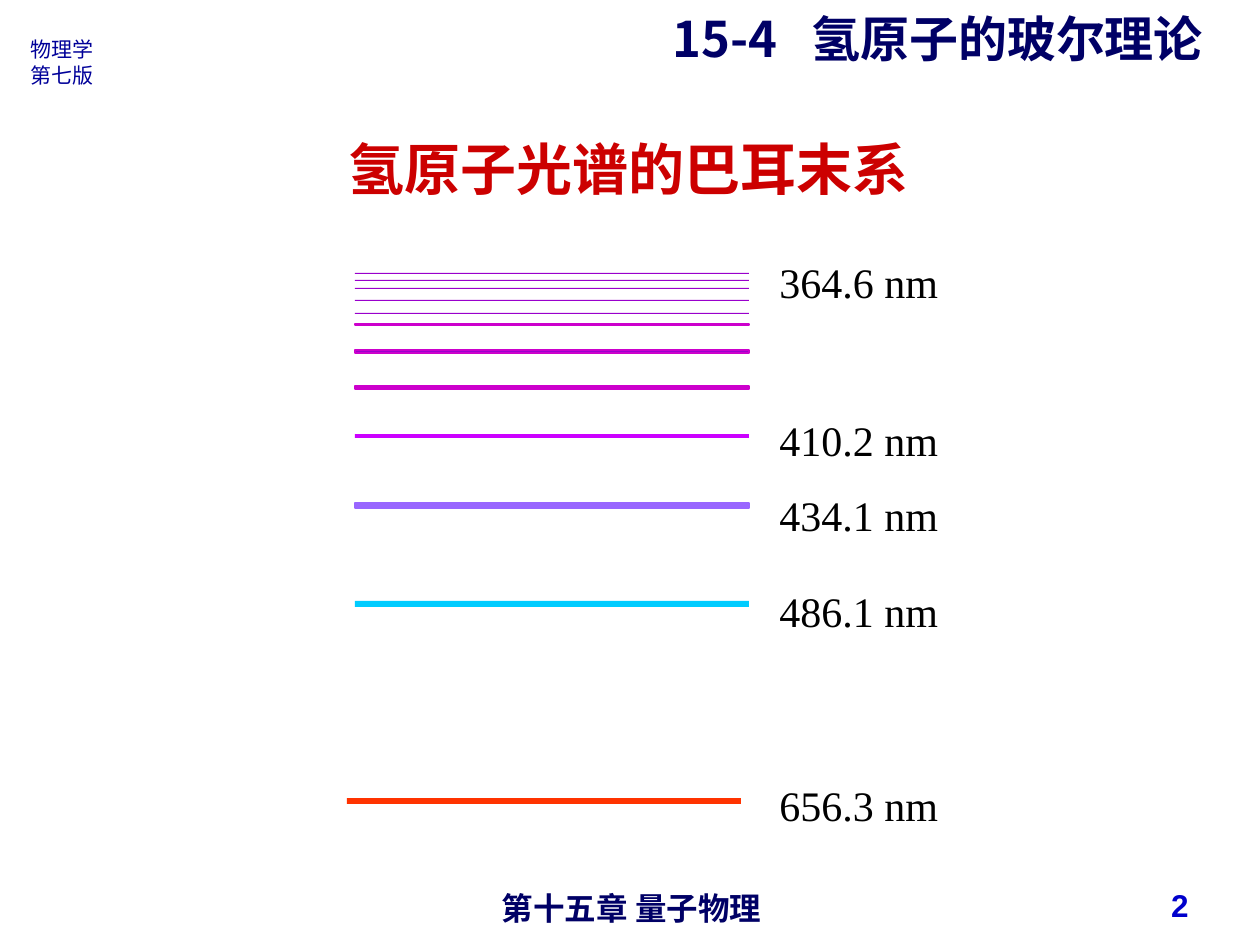
from pptx import Presentation
from pptx import util as u
from pptx.dml.color import RGBColor
from pptx.enum import shapes, text
from pptx.oxml.ns import qn
from lxml import etree

PX = 914400 / 126
HUES = {
    "navy": "000066", "blue": "000099", "page": "0000CC", "title": "CC0000",
    "ink": "000000", "red": "FF3300", "cyan": "00CCFF", "violet": "9966FF",
    "pink": "CC00FF", "plum": "CC00CC", "purple": "9900CC",
}
SANS, SERIF, CJK = "Arial", "Times New Roman", "Noto Sans CJK SC"
ALIGN, ANCHOR = text.PP_ALIGN, text.MSO_ANCHOR

# Spectral lines: top, height, fill, outline
LINES = [
    (273, 1, "purple", None), (280, 1, "purple", None),
    (288, 1, "purple", None), (300, 1, "purple", None),
    (313, 1, "purple", None), (324, 1, "plum", "plum"),
    (350, 3, "purple", "plum"), (386, 3, "plum", "plum"),
    (434, 4, "pink", None), (503, 5, "violet", "violet"),
    (601, 6, "cyan", None), (798, 6, "red", None),
]
# Wavelength labels: top, wording
LABELS = [
    (248, "364.6 nm"), (406, "410.2 nm"), (481, "434.1 nm"),
    (577, "486.1 nm"), (771, "656.3 nm"),
]


def px(n):
    return u.Emu(round(n * PX))


def rgb(name):
    return RGBColor.from_string(HUES[name])


def write(slide, box, words, size, hue, font=CJK, bold=False,
          align=ALIGN.LEFT, anchor=ANCHOR.TOP, tab=None):
    """Add a text box with one paragraph for each line of words."""
    frame = slide.shapes.add_textbox(*map(px, box)).text_frame
    frame.word_wrap = True
    frame.vertical_anchor = anchor
    for i, line in enumerate(words.split("\n")):
        para = frame.paragraphs[0] if i == 0 else frame.add_paragraph()
        para.alignment = align
        para.line_spacing = u.Pt(round(size * 1.25))
        if tab:
            stops = etree.SubElement(para._p.get_or_add_pPr(), qn("a:tabLst"))
            etree.SubElement(stops, qn("a:tab"), pos=str(px(tab)), algn="l")
        run = para.add_run()
        run.text = line
        run.font.size = u.Pt(size)
        run.font.bold = bold
        run.font.name = font
        run.font.color.rgb = rgb(hue)
        east = etree.SubElement(run.font._element, qn("a:ea"))
        east.set("typeface", CJK)


def bar(slide, box, fill, edge):
    """Add one spectral line."""
    shape = slide.shapes.add_shape(shapes.MSO_SHAPE.RECTANGLE, *map(px, box))
    shape.shadow.inherit = False
    shape.fill.solid()
    shape.fill.fore_color.rgb = rgb(fill)
    if edge:
        shape.line.color.rgb = rgb(edge)
        shape.line.width = u.Pt(0.75)
    else:
        shape.line.fill.background()


def header(slide, x, y):
    # Book name on the left, section name on the right
    write(slide, (x + 18, y + 29, 91, 63), "物理学\n第七版", 12, "blue")
    write(slide, (x + 660, y, 609, 72), "15-4\t氢原子的玻尔理论", 28, "navy",
          bold=True, tab=139)


def spectrum(slide, x, y):
    # Title, then the Balmer lines with their wavelengths
    write(slide, (x, y, 819, 81), "氢原子光谱的巴耳末系", 32, "title",
          font=SERIF, bold=True)
    for top, high, fill, edge in LINES:
        left = x + (11 if fill == "red" else 19)
        bar(slide, (left, top, 394, high), fill, edge)
    for top, words in LABELS:
        write(slide, (x + 431, top, 189, 63), words, 24, "ink", font=SERIF)


def footer(slide, x, y):
    # Chapter name and page number
    write(slide, (x + 432, y + 2, 399, 37), "第十五章 量子物理", 18, "navy",
          font=SANS, bold=True, align=ALIGN.CENTER)
    write(slide, (x + 907, y, 294, 50), "2", 18, "page", font=SANS,
          bold=True, align=ALIGN.RIGHT, anchor=ANCHOR.MIDDLE)


def main():
    deck = Presentation()
    deck.slide_width, deck.slide_height = px(1260), px(945)
    slide = deck.slides.add_slide(deck.slide_layouts[6])
    header(slide, 0, 0)
    spectrum(slide, 336, 126)
    footer(slide, 0, 880)
    deck.save("out.pptx")


if __name__ == "__main__":
    main()
